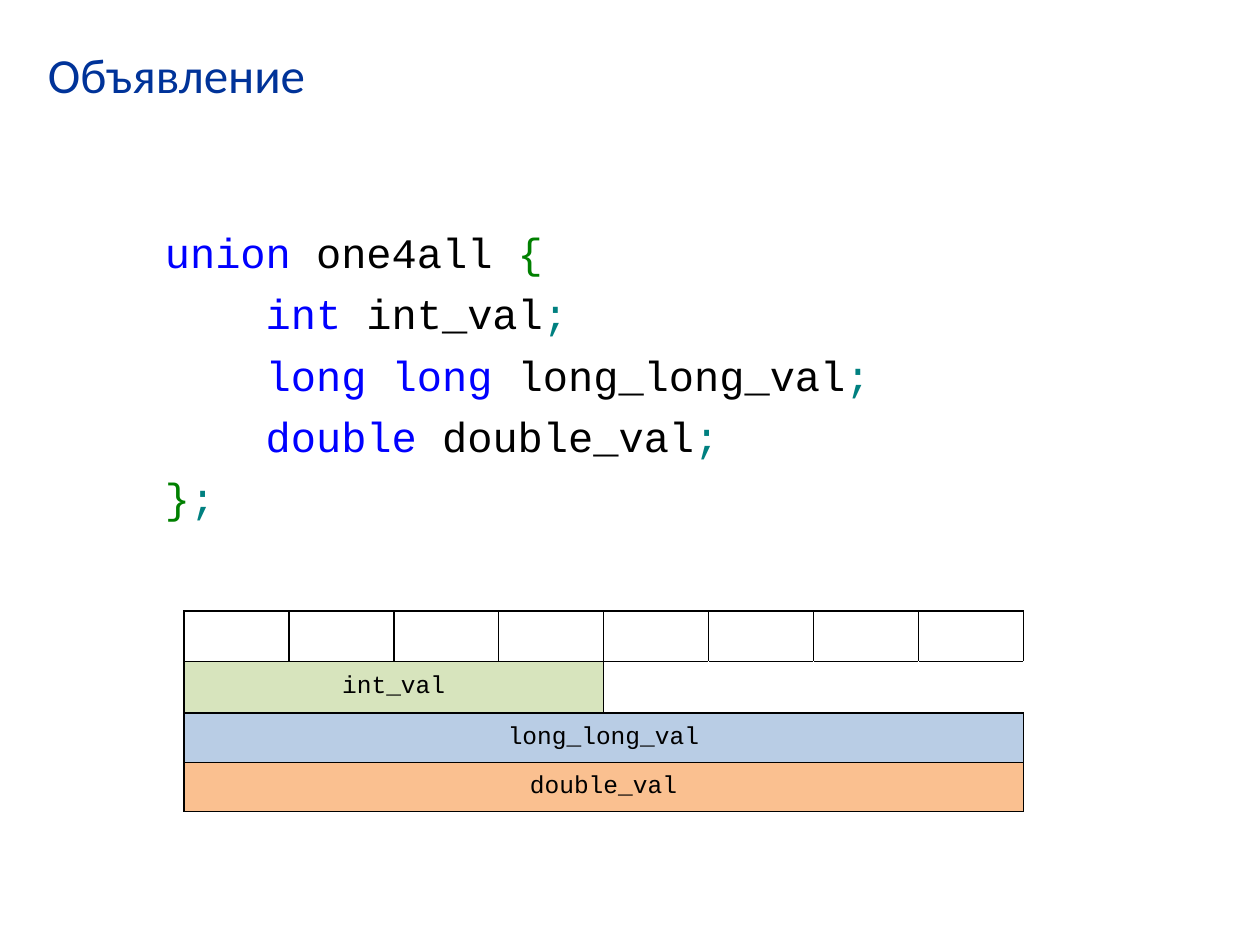
from dataclasses import dataclass
from typing import NamedTuple

from lxml.etree import SubElement
from pptx import Presentation
from pptx.dml.color import RGBColor
from pptx.enum.text import MSO_ANCHOR as Anchor, PP_ALIGN as Align
from pptx.oxml.ns import qn
from pptx.util import Inches, Pt

BLACK = RGBColor(0x00, 0x00, 0x00)
WHITE = RGBColor(0xFF, 0xFF, 0xFF)
NAVY = RGBColor(0x00, 0x33, 0x99)
KEYWORD = RGBColor(0x00, 0x00, 0xFF)
BRACE = RGBColor(0x00, 0x80, 0x00)
PUNCTUATION = RGBColor(0x00, 0x80, 0x80)
GREEN = RGBColor(0xD7, 0xE4, 0xBD)
BLUE = RGBColor(0xB9, 0xCD, 0xE5)
ORANGE = RGBColor(0xFA, 0xC0, 0x90)

WIDTH, HEIGHT = Inches(10), Inches(7.5)
CODE_FONT = "Courier New"
CODE_SIZE = 24
MEMBER_SIZE = 14
BYTES = 8
BYTE_WIDTH = 8.33
ROW_HEIGHTS = (5.33, 5.47, 5.2, 5.2)


class Token(NamedTuple):
    text: str
    color: RGBColor


@dataclass(frozen=True)
class CodeLine:
    tokens: tuple[Token, ...]
    indent: int = 0


@dataclass(frozen=True)
class Member:
    type_name: str
    name: str
    size: int
    color: RGBColor

    def declaration(self) -> CodeLine:
        return CodeLine((Token(f"{self.type_name} ", KEYWORD),
                         Token(self.name, BLACK),
                         Token(";", PUNCTUATION)), indent=4)


MEMBERS = (
    Member("int", "int_val", 4, GREEN),
    Member("long long", "long_long_val", 8, BLUE),
    Member("double", "double_val", 8, ORANGE),
)
CODE = (
    CodeLine((Token("union", KEYWORD), Token(" one4all ", BLACK), Token("{", BRACE))),
    *(member.declaration() for member in MEMBERS),
    CodeLine((Token("}", BRACE), Token(";", PUNCTUATION))),
)


def across(percent: float) -> int:
    return round(WIDTH * percent / 100)


def down(percent: float) -> int:
    return round(HEIGHT * percent / 100)


def add_run(paragraph, token: Token, font: str, size: float) -> None:
    run = paragraph.add_run()
    run.text = token.text
    run.font.name = font
    run.font.size = Pt(size)
    run.font.color.rgb = token.color


def draw_title(slide, text: str) -> None:
    title = slide.shapes.title
    title.left, title.top = across(2.8), down(4)
    title.width, title.height = across(94.5), down(12.4)
    title.text_frame.vertical_anchor = Anchor.TOP
    heading = title.text_frame.paragraphs[0]
    heading.alignment = Align.LEFT
    add_run(heading, Token(text, NAVY), "Calibri", 28)


def draw_code(slide, lines: tuple[CodeLine, ...]) -> None:
    listing = slide.shapes.add_textbox(across(12.1), down(23.33), across(87.1), down(66))
    frame = listing.text_frame
    frame.word_wrap = True
    for index, line in enumerate(lines):
        paragraph = frame.add_paragraph() if index else frame.paragraphs[0]
        paragraph.space_before = Pt(6.2)
        character_width = Pt(CODE_SIZE * 0.6)
        paragraph_format = paragraph._p.get_or_add_pPr()
        paragraph_format.set("marL", str(line.indent * character_width))
        paragraph_format.set("indent", "0")
        for token in line.tokens:
            add_run(paragraph, token, CODE_FONT, CODE_SIZE)


def set_borders(cell, left: RGBColor = BLACK, right: RGBColor = BLACK) -> None:
    properties = cell._tc.get_or_add_tcPr()
    for side, color in (("L", left), ("R", right), ("T", BLACK), ("B", BLACK)):
        border = SubElement(properties, qn(f"a:ln{side}"), w=str(Pt(1)))
        fill = SubElement(border, qn("a:solidFill"))
        SubElement(fill, qn("a:srgbClr"), val=str(color))


def draw_memory(slide, members: tuple[Member, ...]) -> None:
    table = slide.shapes.add_table(
        len(members) + 1, BYTES, across(14.6), down(64.67),
        across(BYTE_WIDTH * BYTES), down(sum(ROW_HEIGHTS))).table
    table.first_row = table.horz_banding = False
    for column in table.columns:
        column.width = across(BYTE_WIDTH)
    for row, height in zip(table.rows, ROW_HEIGHTS):
        row.height = down(height)

    used_bytes = (BYTES, *(member.size for member in members))
    for row_index, used in enumerate(used_bytes):
        for byte in range(BYTES):
            cell = table.cell(row_index, byte)
            set_borders(cell, BLACK if byte <= used else WHITE,
                        BLACK if byte < used else WHITE)
            cell.fill.background()
            cell.text_frame.paragraphs[0].font.size = Pt(MEMBER_SIZE)

    for row_index, member in enumerate(members, start=1):
        cell = table.cell(row_index, 0)
        cell.merge(table.cell(row_index, member.size - 1))
        cell.fill.solid()
        cell.fill.fore_color.rgb = member.color
        cell.vertical_anchor = Anchor.MIDDLE
        label = cell.text_frame.paragraphs[0]
        label.alignment = Align.CENTER
        add_run(label, Token(member.name, BLACK), CODE_FONT, MEMBER_SIZE)


def main() -> None:
    presentation = Presentation()
    presentation.slide_width, presentation.slide_height = WIDTH, HEIGHT
    slide = presentation.slides.add_slide(presentation.slide_layouts.get_by_name("Title Only"))
    draw_title(slide, "Объявление")
    draw_code(slide, CODE)
    draw_memory(slide, MEMBERS)
    presentation.save("out.pptx")


main()
